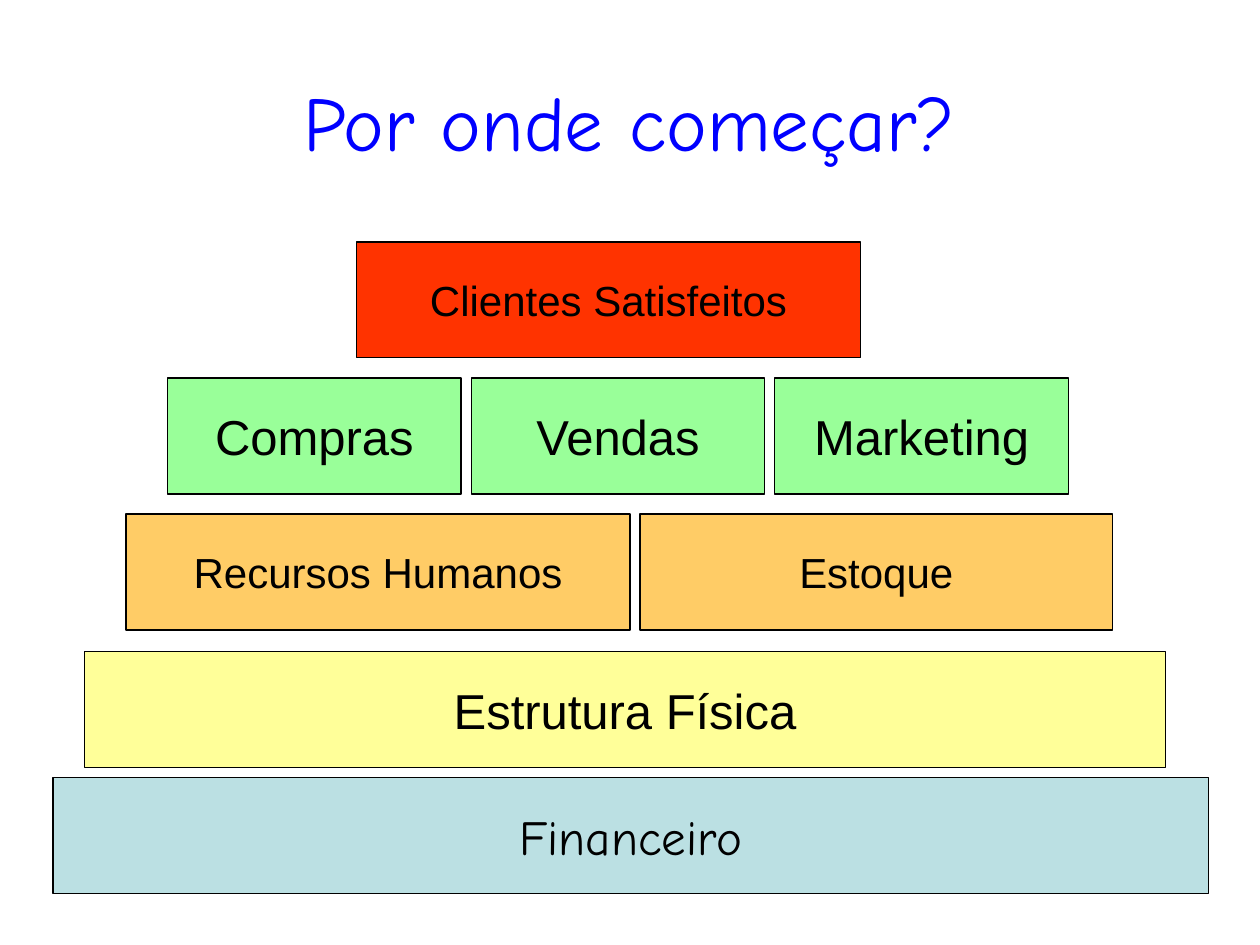
import pptx
import pptx.util
import pptx.dml.color
import pptx.enum.shapes
import pptx.enum.text

Inches, Pt = pptx.util.Inches, pptx.util.Pt

# Content: each tier has top, left, fill, size, font and its (label, width) blocks
TITLE = "Por onde começar?"
COLORS = {"title": "0000FF", "ink": "000000", "red": "FF3300", "green": "99FF99",
          "orange": "FFCC66", "yellow": "FFFF99", "blue": "BBE0E3"}
TIERS = [
    (1.92, 2.83, "red", 24, "Arial", [("Clientes Satisfeitos", 4)]),
    (3, 1.33, "green", 28, "Arial",
     [("Compras", 2.33), ("Vendas", 2.33), ("Marketing", 2.33)]),
    (4.08, 1, "orange", 24, "Arial", [("Recursos Humanos", 4), ("Estoque", 3.75)]),
    (5.17, 0.67, "yellow", 28, "Arial", [("Estrutura Física", 8.58)]),
    (6.17, 0.42, "blue", 28, "Comic Neue", [("Financeiro", 9.17)]),
]
BLOCK_HEIGHT = 0.92
BLOCK_GAP = 0.08


def color(name):
    return pptx.dml.color.RGBColor.from_string(COLORS[name])


def write(shape, text, size, font, ink):
    frame = shape.text_frame
    frame.text = text
    frame.vertical_anchor = pptx.enum.text.MSO_ANCHOR.MIDDLE
    para = frame.paragraphs[0]
    para.alignment = pptx.enum.text.PP_ALIGN.CENTER
    para.font.size = Pt(size)
    para.font.name = font
    para.font.color.rgb = color(ink)


def add_block(page, label, left, top, width, fill, size, font):
    box = page.shapes.add_shape(
        pptx.enum.shapes.MSO_SHAPE.RECTANGLE,
        Inches(left), Inches(top), Inches(width), Inches(BLOCK_HEIGHT))
    box.shadow.inherit = False
    box.fill.solid()
    box.fill.fore_color.rgb = color(fill)
    box.line.color.rgb = color("ink")
    box.line.width = Pt(0.74)
    write(box, label, size, font, "ink")
    box.text_frame.word_wrap = False


deck = pptx.Presentation()
deck.slide_width, deck.slide_height = Inches(10), Inches(7.5)
page = deck.slides.add_slide(deck.slide_layouts[5])

# Title
title = page.shapes.title
title.left, title.top = Inches(0.5), Inches(0.33)
title.width, title.height = Inches(9), Inches(1.25)
write(title, TITLE, 44, "Comic Neue", "title")

# Pyramid, with the blocks of a tier side by side
for top, left, fill, size, font, blocks in TIERS:
    for label, width in blocks:
        add_block(page, label, left, top, width, fill, size, font)
        left += width + BLOCK_GAP

deck.save("out.pptx")
